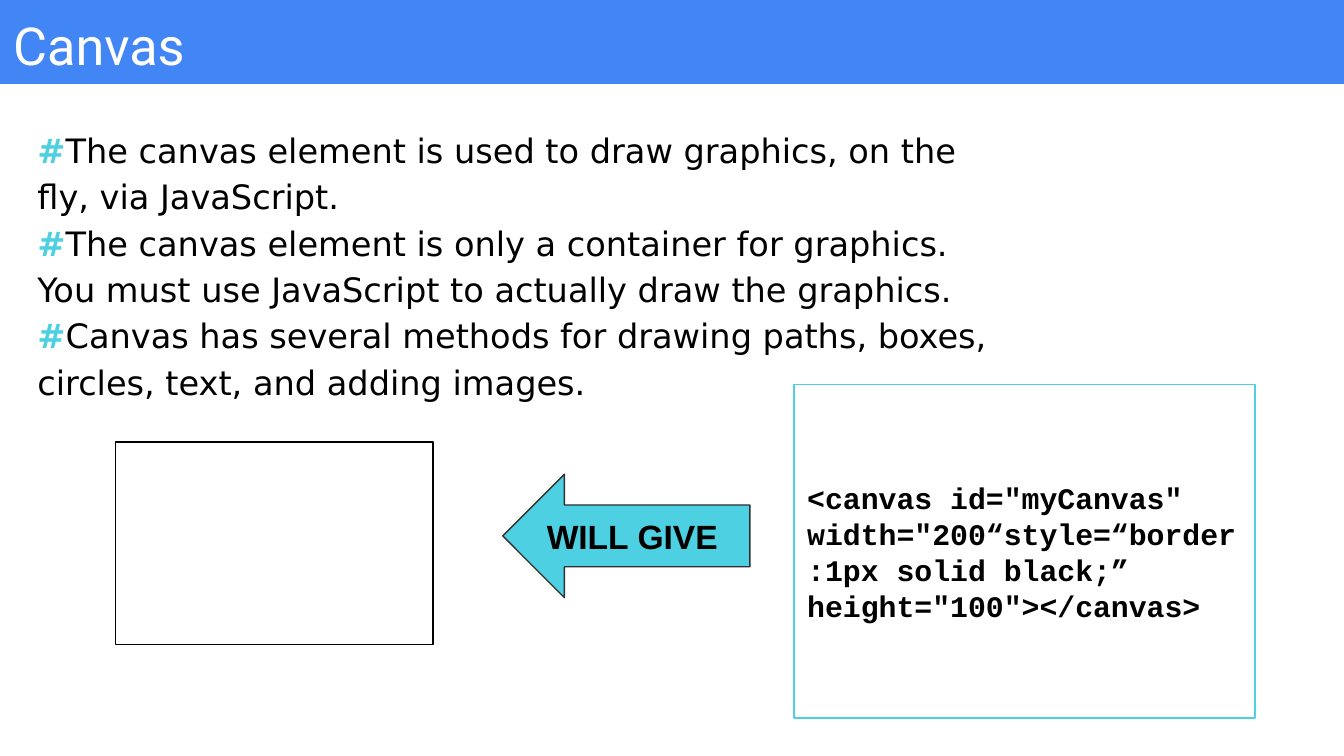
from pptx import Presentation
from pptx.dml.color import RGBColor
from pptx.enum.shapes import MSO_SHAPE
from pptx.enum.text import MSO_ANCHOR, PP_ALIGN
from pptx.util import Pt

RECT, LEFT_ARROW = MSO_SHAPE.RECTANGLE, MSO_SHAPE.LEFT_ARROW
TOP, MIDDLE = MSO_ANCHOR.TOP, MSO_ANCHOR.MIDDLE
LEFT = PP_ALIGN.LEFT

COLORS = {
    "blue": "4285F4",
    "cyan": "4DD0E1",
    "white": "FFFFFF",
    "black": "000000",
    "outline": "303030",
}
INSET = 7.2

POINTS = [
    "The canvas element is used to draw graphics, on the fly, via JavaScript.",
    "The canvas element is only a container for graphics. "
    "You must use JavaScript to actually draw the graphics.",
    "Canvas has several methods for drawing paths, boxes, circles, text, "
    "and adding images.",
]
CODE = ('<canvas id="myCanvas" width="200“style=“border:1px solid black;” '
        'height="100"></canvas>')


def rgb(name):
    return RGBColor.from_string(COLORS[name])


def add_run(p, text, font, size, color, bold=False):
    r = p.add_run()
    r.text = text
    r.font.name = font
    r.font.size = Pt(size)
    r.font.bold = bold
    r.font.color.rgb = rgb(color)


def set_frame(sp, anchor):
    """Apply the common wrapping and insets, and return the text frame."""
    tf = sp.text_frame
    tf.word_wrap = True
    tf.vertical_anchor = anchor
    tf.margin_left = tf.margin_right = Pt(INSET)
    tf.margin_top = tf.margin_bottom = Pt(INSET)
    return tf


def add_box(s, kind, box, fill=None, line=None):
    sp = s.shapes.add_shape(kind, *map(Pt, box))
    sp.shadow.inherit = False
    if fill:
        sp.fill.solid()
        sp.fill.fore_color.rgb = rgb(fill)
    else:
        sp.fill.background()
    if line:
        sp.line.color.rgb = rgb(line)
        sp.line.width = Pt(0.75)
    else:
        sp.line.fill.background()
    return sp


def add_label(sp, text, font, size, color, bold=True, anchor=MIDDLE):
    p = set_frame(sp, anchor).paragraphs[0]
    p.alignment = LEFT
    add_run(p, text, font, size, color, bold)


def add_points(s, box, points):
    """Add a text box with one hash-marked paragraph per point."""
    tf = set_frame(s.shapes.add_textbox(*map(Pt, box)), TOP)
    for i, point in enumerate(points):
        p = tf.add_paragraph() if i else tf.paragraphs[0]
        p.line_spacing = 1.15
        add_run(p, "#", "DejaVu Sans", 18, "cyan", bold=True)
        add_run(p, point, "DejaVu Sans", 18, "black")


def main():
    prs = Presentation()
    prs.slide_width, prs.slide_height = Pt(720), Pt(405)
    s = prs.slides.add_slide(prs.slide_layouts[6])

    title_bar = add_box(s, RECT, (0, 0, 720, 45), fill="blue")
    add_label(title_bar, "Canvas", "Roboto", 28, "white", bold=False, anchor=TOP)

    add_points(s, (13, 59.2, 537, 189.4), POINTS)

    code_box = add_box(s, RECT, (425.4, 206, 247, 178.8), "white", "cyan")
    add_label(code_box, CODE, "Courier New", 16, "black")

    arrow = add_box(s, LEFT_ARROW, (269.3, 254, 132.4, 66.2), "cyan", "outline")
    add_label(arrow, "WILL GIVE", "Arial", 18, "black")

    add_box(s, RECT, (62, 236.9, 170, 108.3), line="black")

    prs.save("out.pptx")


if __name__ == "__main__":
    main()
